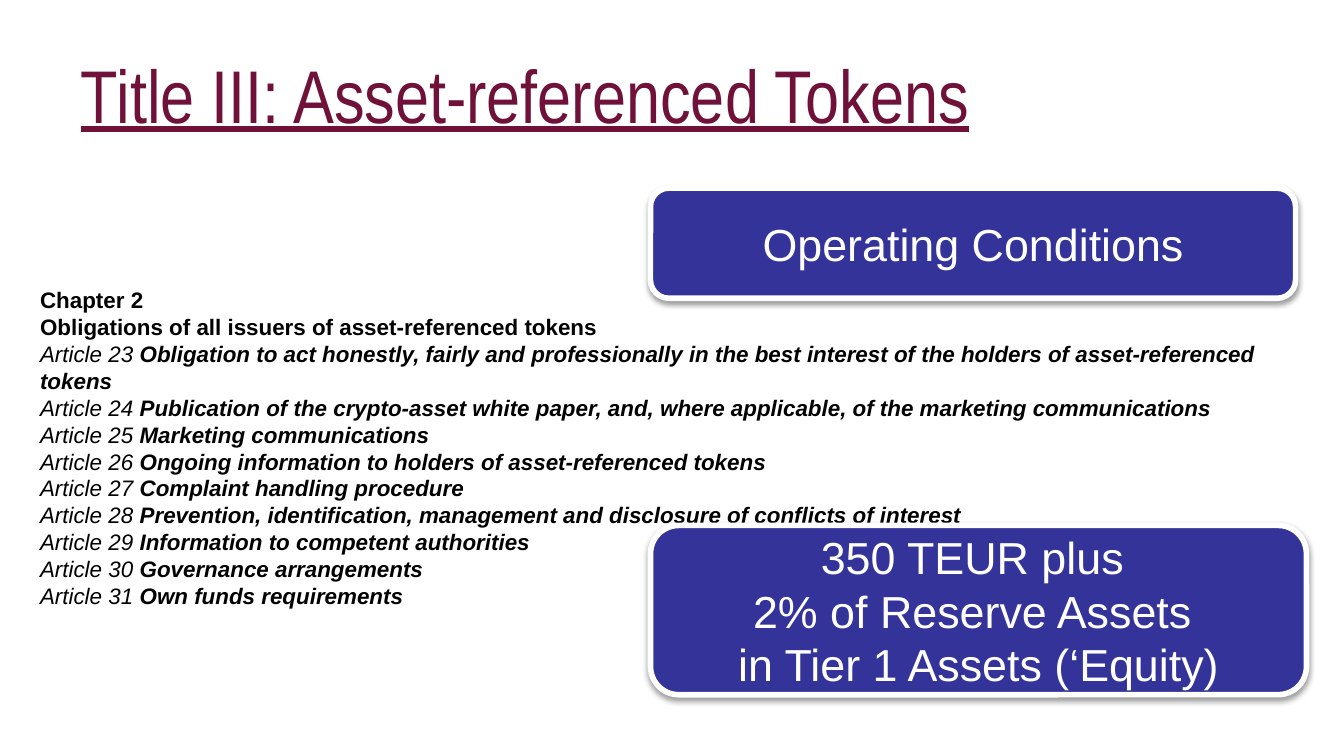
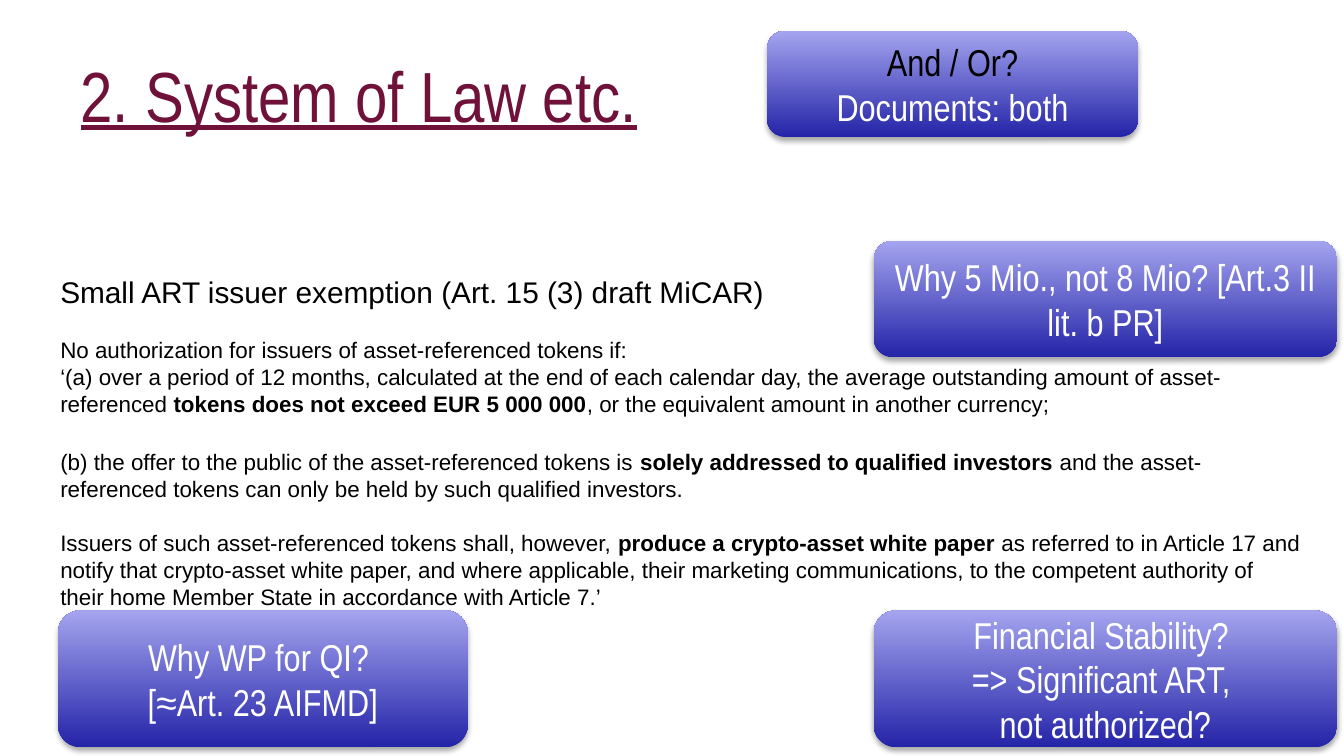
import pptx
import pptx.dml.color
import pptx.enum.shapes
import pptx.enum.text
import pptx.oxml
import pptx.oxml.ns
import pptx.util

Pt = pptx.util.Pt
RGBColor = pptx.dml.color.RGBColor
MSO_SHAPE = pptx.enum.shapes.MSO_SHAPE
PP_ALIGN = pptx.enum.text.PP_ALIGN
MSO_ANCHOR = pptx.enum.text.MSO_ANCHOR
MSO_AUTO_SIZE = pptx.enum.text.MSO_AUTO_SIZE

WHITE = RGBColor(0xFF, 0xFF, 0xFF)
BLACK = RGBColor(0, 0, 0)
WINE = RGBColor(0x70, 0x11, 0x39)
NAVY = RGBColor(0x33, 0x33, 0x99)
DEEP_BLUE = RGBColor(0x24, 0x24, 0xA8)
LILAC = RGBColor(0xA4, 0xA4, 0xEF)

TITLE_BOX = (36, 16.5, 648, 67.5)
FRAME = {"word_wrap": True, "auto_size": MSO_AUTO_SIZE.NONE,
         "vertical_anchor": MSO_ANCHOR.MIDDLE}
TITLE = {"name": "Arial Narrow", "underline": True, "color": WINE}
BODY = {"name": "Arial", "size": Pt(12), "color": BLACK}
SOLID_NOTE = {"name": "Arial", "size": Pt(24), "color": WHITE}
GRADIENT_NOTE = {"name": "Arial Narrow", "size": Pt(20), "color": WHITE}

ARTICLES = [
    "Obligation to act honestly, fairly and professionally in the best interest "
    "of the holders of asset-referenced tokens",
    "Publication of the crypto-asset white paper, and, where applicable, "
    "of the marketing communications",
    "Marketing communications",
    "Ongoing information to holders of asset-referenced tokens",
    "Complaint handling procedure",
    "Prevention, identification, management and disclosure of conflicts of interest",
    "Information to competent authorities",
    "Governance arrangements",
    "Own funds requirements",
]
EXEMPTION = [
    (0, [("Small ART issuer exemption (Art. 15 (3) draft MiCAR)", {"size": Pt(16)})]),
    (14.4, [("No authorization for issuers of asset-referenced tokens if:", {})]),
    (0, [("‘(a) over a period of 12 months, calculated at the end of each calendar day, "
          "the average outstanding amount of asset-referenced ", {}),
         ("tokens does not exceed EUR 5 000 000", {"bold": True}),
         (", or the equivalent amount in another currency;", {})]),
    (16.8, [("(b) the offer to the public of the asset-referenced tokens is ", {}),
            ("solely addressed to qualified investors ", {"bold": True}),
            ("and the asset-referenced tokens can only be held by such "
             "qualified investors.", {})]),
    (14.4, [("Issuers of such asset-referenced tokens shall, however, ", {}),
            ("produce a crypto-asset white paper ", {"bold": True}),
            ("as referred to in Article 17 and notify that crypto-asset white paper, "
             "and where applicable, their marketing communications, to the competent "
             "authority of their home Member State in accordance with Article 7.’", {})]),
]


def set_attrs(obj, values):
    for key, value in values.items():
        if key == "color":
            obj.color.rgb = value
        else:
            setattr(obj, key, value)


def place(sp, box):
    keys = ("left", "top", "width", "height")
    set_attrs(sp, dict(zip(keys, map(Pt, box))))


def add_runs(p, runs, base):
    for text, extra in runs:
        for i, line in enumerate(text.split("\n")):
            if i:
                p.add_line_break()
            r = p.add_run()
            r.text = line
            set_attrs(r.font, {**base, **extra})


def fill_text(sp, paragraphs, base, align):
    tf = sp.text_frame
    set_attrs(tf, FRAME)
    for i, (gap, runs) in enumerate(paragraphs):
        p = tf.add_paragraph() if i else tf.paragraphs[0]
        set_attrs(p, {"alignment": align, "space_before": Pt(gap)})
        add_runs(p, runs, base)


def add_title(s, text, size):
    sp = s.shapes.title
    place(sp, TITLE_BOX)
    fill_text(sp, [(0, [(text, {"size": Pt(size)})])], TITLE, PP_ALIGN.LEFT)


def add_body(s, box, paragraphs):
    sp = s.shapes.add_shape(MSO_SHAPE.RECTANGLE, *map(Pt, box))
    sp.shadow.inherit = False
    sp.fill.solid()
    sp.fill.fore_color.rgb = WHITE
    sp.line.fill.background()
    fill_text(sp, paragraphs, BODY, PP_ALIGN.LEFT)


def add_shadow(sp, opacity, distance):
    sp.shadow.inherit = False
    effects = sp._element.spPr.find(pptx.oxml.ns.qn("a:effectLst"))
    effects.append(pptx.oxml.parse_xml(
        f'<a:outerShdw {pptx.oxml.ns.nsdecls("a")} blurRad="{Pt(3.1)}" '
        f'dist="{Pt(distance)}" dir="5400000" rotWithShape="0">'
        f'<a:srgbClr val="{BLACK}"><a:alpha val="{opacity * 1000}"/></a:srgbClr>'
        '</a:outerShdw>'))


def add_note(s, box, paragraphs, base):
    sp = s.shapes.add_shape(MSO_SHAPE.ROUNDED_RECTANGLE, *map(Pt, box))
    fill_text(sp, [(0, [run]) for run in paragraphs], base, PP_ALIGN.CENTER)
    return sp


def add_solid_note(s, box, text):
    sp = add_note(s, box, [(text, {})], SOLID_NOTE)
    sp.fill.solid()
    sp.fill.fore_color.rgb = NAVY
    set_attrs(sp.line, {"width": Pt(3)})
    sp.line.color.rgb = WHITE
    add_shadow(sp, 38, 1.6)


def add_gradient_note(s, box, paragraphs):
    sp = add_note(s, box, paragraphs, GRADIENT_NOTE)
    sp.fill.gradient()
    sp.fill.gradient_angle = 90
    for stop, color in zip(sp.fill.gradient_stops, (DEEP_BLUE, LILAC)):
        stop.color.rgb = color
    sp.line.fill.background()
    add_shadow(sp, 35, 1.8)


def build_tokens_slide(s):
    headings = ["Chapter 2", "Obligations of all issuers of asset-referenced tokens"]
    paragraphs = [(0, [(text, {"bold": True})]) for text in headings]
    for number, name in enumerate(ARTICLES, 23):
        paragraphs.append((0, [(f"Article {number} ", {"italic": True}),
                               (name, {"italic": True, "bold": True})]))
    add_body(s, (14.4, 100.8, 705.6, 278), paragraphs)
    add_title(s, "Title III: Asset-referenced Tokens", 40)
    add_solid_note(s, (348.5, 100.8, 345.6, 59), "Operating Conditions")
    add_solid_note(s, (348.5, 281.5, 351.4, 90.7),
                   "350 TEUR plus \n2% of Reserve Assets \nin Tier 1 Assets (‘Equity)")


def build_law_slide(s):
    add_body(s, (25.2, 89.3, 680.4, 294.5), EXEMPTION)
    add_title(s, "2. System of Law etc.", 38)
    notes = [
        ((411, 16.5, 198.7, 56.9),
         [("And / Or?", {"color": BLACK}), ("Documents: both", {})]),
        ((468, 327, 248.4, 73.4),
         [("Financial Stability? \n=> Significant ART, \nnot authorized?", {})]),
        ((468, 128.9, 248.4, 62.6),
         [("Why 5 Mio., not 8 Mio? [Art.3 II lit. b PR]", {})]),
        ((31, 327, 219.6, 73.4), [("Why WP for QI? \n[≈Art. 23 AIFMD]", {})]),
    ]
    for box, paragraphs in notes:
        add_gradient_note(s, box, paragraphs)


def main():
    prs = pptx.Presentation()
    set_attrs(prs, {"slide_width": Pt(720), "slide_height": Pt(405)})
    for build in (build_tokens_slide, build_law_slide):
        build(prs.slides.add_slide(prs.slide_layouts[5]))
    prs.save("out.pptx")


if __name__ == "__main__":
    main()
